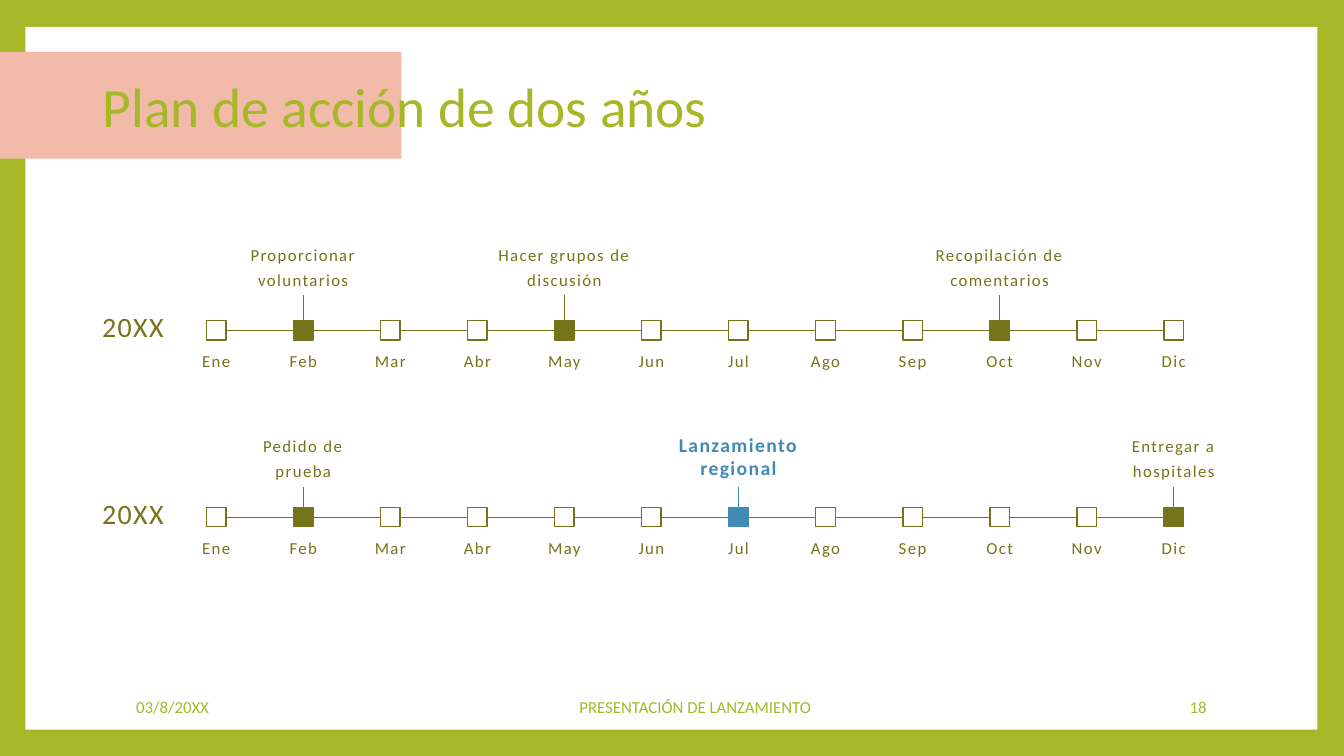
"""Build the two-year action plan slide."""
from pptx import Presentation
from pptx.dml.color import RGBColor
from pptx.enum.shapes import MSO_CONNECTOR, MSO_SHAPE
from pptx.enum.text import MSO_ANCHOR, MSO_AUTO_SIZE, PP_ALIGN
from pptx.oxml.ns import qn
from pptx.util import Cm, Pt
from lxml.etree import SubElement

LIME, OLIVE, BLUE, PINK, WHITE = "A6B727", "75741A", "418AB3", "F2BAA9", "FFFFFF"
MONTHS = "Ene Feb Mar Abr May Jun Jul Ago Sep Oct Nov Dic".split()
FIRST_X, PITCH, MARKER = 5.45, 24.13 / 11, 0.49
LABEL = {"size": Pt(12), "color": OLIVE, "spc": 100}
LAUNCH = {"size": Pt(14), "color": BLUE, "bold": True, "spc": 100}
YEAR = {"size": Pt(20), "color": OLIVE, "spc": 100}
FOOTER = {"size": Pt(12), "color": LIME}
TITLE = {"size": Pt(39.6), "color": LIME}
YEARS = [
    {"axis": 8.32, "callout_top": 5.91, "milestones": {
        "Feb": "Proporcionar voluntarios",
        "May": "Hacer grupos de discusión",
        "Oct": "Recopilación de comentarios"}},
    {"axis": 13.03, "callout_top": 10.73, "milestones": {
        "Feb": "Pedido de prueba",
        "Jul": "Lanzamiento regional",
        "Dic": "Entregar a hospitales"}},
]
LAUNCH_TEXT = "Lanzamiento regional"


def rgb(value):
    return RGBColor.from_string(value)


def write(sp, text, style, align=PP_ALIGN.CENTER, anchor=MSO_ANCHOR.MIDDLE,
          spacing=1.0, **frame):
    tf = sp.text_frame
    settings = {"word_wrap": True, "auto_size": MSO_AUTO_SIZE.NONE,
                "vertical_anchor": anchor, **frame}
    for name, value in settings.items():
        setattr(tf, name, value)
    p = tf.paragraphs[0]
    p.alignment, p.line_spacing = align, spacing
    r = p.add_run()
    r.text = text
    r.font.name = "Calibri"
    for name, value in style.items():
        if name == "color":
            r.font.color.rgb = rgb(value)
        elif name == "spc":
            r.font._element.set("spc", str(value))
        else:
            setattr(r.font, name, value)


def add_text(slide, box, text, style, **options):
    sp = slide.shapes.add_textbox(*map(Cm, box))
    write(sp, text, style, **options)
    return sp


def add_rect(slide, box, fill=None, line=None):
    sp = slide.shapes.add_shape(MSO_SHAPE.RECTANGLE, *map(Cm, box))
    sp.shadow.inherit = False
    if fill:
        sp.fill.solid()
        sp.fill.fore_color.rgb = rgb(fill)
    else:
        sp.fill.background()
    if line:
        sp.line.color.rgb = rgb(line)
        sp.line.width = Pt(1)
    else:
        sp.line.fill.background()
    return sp


def join(slide, start, start_side, end, end_side, color):
    line = slide.shapes.add_connector(MSO_CONNECTOR.STRAIGHT, 0, 0, 0, 0)
    line.begin_connect(start, start_side)
    line.end_connect(end, end_side)
    line.line.color.rgb = rgb(color)
    line.line.width = Pt(0.79)
    SubElement(line._element.spPr, qn("a:effectLst"))


def add_year(slide, axis, callout_top, milestones):
    add_text(slide, (1.93, axis - 0.75, 2.84, 1.4), "20XX", YEAR, spacing=0.9)
    previous = None
    for i, month in enumerate(MONTHS):
        x = FIRST_X + i * PITCH
        text = milestones.get(month)
        style = LAUNCH if text == LAUNCH_TEXT else LABEL
        color = style["color"]
        marker = add_rect(slide, (x - MARKER / 2, axis - MARKER / 2, MARKER, MARKER),
                          color if text else None, color)
        add_text(slide, (x - 0.69, axis + 0.5, 1.38, 1.8), month, LABEL,
                 anchor=MSO_ANCHOR.TOP, spacing=0.8, margin_left=0, margin_right=0)
        if previous:
            join(slide, previous, 3, marker, 1, OLIVE)
        if text:
            callout = add_text(slide, (x - 2, callout_top, 4, 1.53), text, style,
                               spacing=1.0 if style is LAUNCH else 1.25)
            join(slide, callout, 2, marker, 0, color)
        previous = marker


def add_title(slide, box, text):
    sp = slide.shapes.title
    sp.left, sp.top, sp.width, sp.height = map(Cm, box)
    write(sp, text, TITLE, align=PP_ALIGN.LEFT, spacing=0.9)
    slide.shapes._spTree.append(sp._element)


def main():
    prs = Presentation()
    prs.slide_width, prs.slide_height = Cm(33.87), Cm(19.05)
    slide = prs.slides.add_slide(prs.slide_layouts[5])
    slide.background.fill.solid()
    slide.background.fill.fore_color.rgb = rgb(LIME)
    add_rect(slide, (0.64, 0.68, 32.56, 17.71), WHITE)
    add_rect(slide, (0, 1.31, 10.12, 2.69), PINK)
    add_title(slide, (2.34, 1.85, 29.21, 1.83), "Plan de acción de dos años")
    for year in YEARS:
        add_year(slide, **year)
    for left, width, text, align in (
            (3.18, 6.48, "03/8/20XX", PP_ALIGN.LEFT),
            (10.97, 13.11, "PRESENTACIÓN DE LANZAMIENTO", PP_ALIGN.CENTER),
            (25.91, 4.75, "18", PP_ALIGN.RIGHT)):
        add_text(slide, (left, 17.3, width, 1.02), text, FOOTER, align=align)
    prs.save("out.pptx")


if __name__ == "__main__":
    main()
